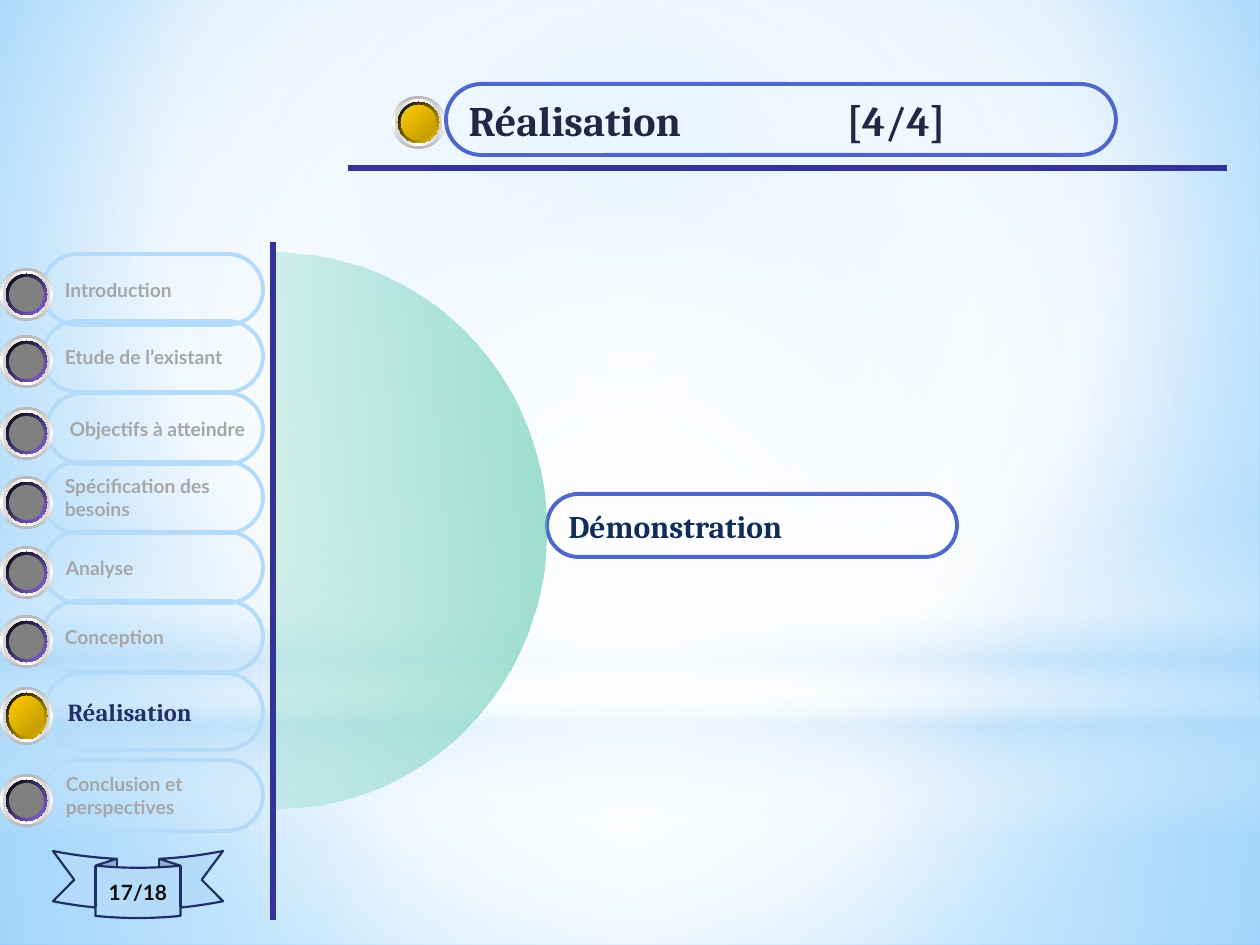
from math import cos, pi, sin
from lxml.etree import SubElement
from pptx import Presentation
from pptx.dml.color import RGBColor
from pptx.enum.shapes import MSO_CONNECTOR, MSO_SHAPE
from pptx.enum.text import MSO_ANCHOR, PP_ALIGN
from pptx.oxml.ns import qn
from pptx.util import Pt

PX = 914400 / 126
COLORS = {
    "white": "FFFFFF", "black": "000000", "sky": "B4DCFA", "light_blue": "9ED5FF",
    "blue": "5BB9FF", "rule": "333399", "silver": "B6B6B6", "pale": "D1D1D1",
    "mint": "56C7AA", "pine": "429882", "soft_mint": "AAE3D4", "gold": "FFCC00",
    "dark_gold": "BA9500", "violet": "8D67E1", "gray": "808080", "muted": "A6A6A6",
    "navy": "1F2E69", "active": "21306A", "ink": "0D0D0D", "title": "212745",
    "frame": "4E67C8", "demo": "112E58",
}


def paint(fill, element, stops, angle=None, focus=(50, 50, 50, 50)):
    fill.gradient()
    gradient = element.xpath(".//a:gradFill")[0]
    for child in list(gradient):
        gradient.remove(child)
    stop_list = SubElement(gradient, qn("a:gsLst"))
    for position, color, opacity in stops:
        stop = SubElement(stop_list, qn("a:gs"), pos=str(position * 1000))
        tone = SubElement(stop, qn("a:srgbClr"), val=COLORS[color])
        if opacity < 100:
            SubElement(tone, qn("a:alpha"), val=str(opacity * 1000))
    if angle is None:
        circle = SubElement(gradient, qn("a:path"), {"path": "circle"})
        sides = {side: str(part * 1000) for side, part in zip("ltrb", focus)}
        SubElement(circle, qn("a:fillToRect"), sides)
    else:
        SubElement(gradient, qn("a:lin"), ang=str(angle * 60000), scaled="0")


def add_box(kind, place, outline=None, weight=2.25, lines=(), size=11, font="Lato", color="muted"):
    box = page.shapes.add_shape(kind, *[round(length * PX) for length in place])
    box.shadow.inherit = False
    box.fill.background()
    if outline:
        box.line.color.rgb = RGBColor.from_string(COLORS[outline])
        box.line.width = Pt(weight)
    else:
        box.line.fill.background()
    if kind == MSO_SHAPE.ROUNDED_RECTANGLE:
        box.adjustments[0] = 0.5
    frame = box.text_frame
    frame.word_wrap = False
    frame.vertical_anchor = MSO_ANCHOR.MIDDLE
    for index, line in enumerate(lines):
        para = frame.add_paragraph() if index else frame.paragraphs[0]
        para.alignment = PP_ALIGN.LEFT
        span = para.add_run()
        span.text = line
        span.font.size = Pt(size)
        span.font.name = font
        span.font.bold = True
        span.font.color.rgb = RGBColor.from_string(COLORS[color])
    return box


deck = Presentation()
deck.slide_width = round(1260 * PX)
deck.slide_height = round(945 * PX)
page = deck.slides.add_slide(deck.slide_layouts[6])

paint(page.background.fill, page.element,
      [(0, "light_blue", 100), (60, "white", 100), (100, "blue", 100)], focus=(20, 10, 20, 60))

backdrop = [
    (MSO_SHAPE.RECTANGLE, (0, 703, 1260, 242), None,
     [(0, "white", 91), (37, "white", 76), (100, "sky", 79)]),
    (MSO_SHAPE.RECTANGLE, (0, 0, 1260, 703), None,
     [(0, "white", 89), (48, "white", 62), (100, "sky", 79)]),
    (MSO_SHAPE.RECTANGLE, (0, 519, 1260, 315), 90,
     [(0, "white", 0), (29, "white", 30), (45, "sky", 40),
      (55, "white", 26), (65, "sky", 60), (100, "white", 0)]),
    (MSO_SHAPE.OVAL, (0, 221, 1260, 703), None, [(0, "white", 100), (56, "white", 0)]),
]
for kind, place, angle, stops in backdrop:
    layer = add_box(kind, place)
    paint(layer.fill, layer.element, stops, angle)

for ends in [(348, 168, 1227, 168), (273, 242, 273, 920)]:
    rule = page.shapes.add_connector(MSO_CONNECTOR.STRAIGHT, *[round(end * PX) for end in ends])
    rule.line.color.rgb = RGBColor.from_string(COLORS["rule"])
    rule.line.width = Pt(3)
    SubElement(rule.element.spPr, qn("a:effectLst"))

ribbon = add_box(MSO_SHAPE.CURVED_DOWN_RIBBON, (53, 851, 170, 67), "navy", 1.25,
                 ["17/18"], 12, "Lato", "ink")
ribbon.fill.solid()
ribbon.fill.fore_color.rgb = RGBColor.from_string(COLORS["sky"])
ribbon.text_frame.paragraphs[0].alignment = PP_ALIGN.CENTER

menu = [
    (["Introduction"], 42, 254),
    (["Etude de l’existant"], 42, 321),
    (["Objectifs à atteindre"], 47, 393),
    (["Spécification des", "besoins"], 42, 462),
    (["Analyse"], 43, 532),
    (["Conception"], 42, 601),
    (["Réalisation"], 44, 673),
    (["Conclusion et", "perspectives"], 43, 760),
]
orbs = [(392, 96, 53, True)]
for lines, left, top in menu:
    current = lines == ["Réalisation"]
    height = 77 if current else 71
    style = (14, "Cambria", "active") if current else (11, "Lato", "muted")
    add_box(MSO_SHAPE.ROUNDED_RECTANGLE, (left, top, 263 - left, height), "sky", 2.25, lines, *style)
    orbs.append((0, top + 14, 58 if current else 53, current))

rings = [
    (0, 90, ["silver", "white", "silver"]),
    (3, 0, ["pale", "white", "pale"]),
    (6, 45, ["white", "mint", "white"]),
]
gold_core = [(6, 45, ["black", "gold"]), (9, 315, ["pine", "mint", "pine"]),
             (9, 45, ["gold", "dark_gold"])]
gray_core = [(6, 45, ["black", "violet"]), (9, 0, ["gray"])]
for left, top, height, current in orbs:
    for inset, angle, tones in rings + (gold_core if current else gray_core):
        disc = add_box(MSO_SHAPE.OVAL,
                       (left + inset, top + inset, 53 - 2 * inset, height - 2 * inset))
        if len(tones) == 1:
            disc.fill.solid()
            disc.fill.fore_color.rgb = RGBColor.from_string(COLORS[tones[0]])
        else:
            step = 100 // (len(tones) - 1)
            stops = [(index * step, tone, 100) for index, tone in enumerate(tones)]
            paint(disc.fill, disc.element, stops, angle)

add_box(MSO_SHAPE.ROUNDED_RECTANGLE, (446, 84, 670, 71), "frame", 2.25,
        ["Réalisation\t\t\t[4/4]"], 24, "Cambria", "title")
add_box(MSO_SHAPE.ROUNDED_RECTANGLE, (547, 494, 410, 63), "frame", 2.25,
        ["Démonstration"], 18, "Cambria", "demo")

arc = [(round((276 + 270 * cos(turn * pi / 90)) * PX), round((531 + 278 * sin(turn * pi / 90)) * PX))
       for turn in range(-45, 46)]
builder = page.shapes.build_freeform(*arc[0])
builder.add_line_segments(arc[1:], close=True)
half_disc = builder.convert_to_shape()
half_disc.shadow.inherit = False
half_disc.line.fill.background()
paint(half_disc.fill, half_disc.element, [(0, "soft_mint", 52), (100, "mint", 56)], 0)

deck.save("out.pptx")
